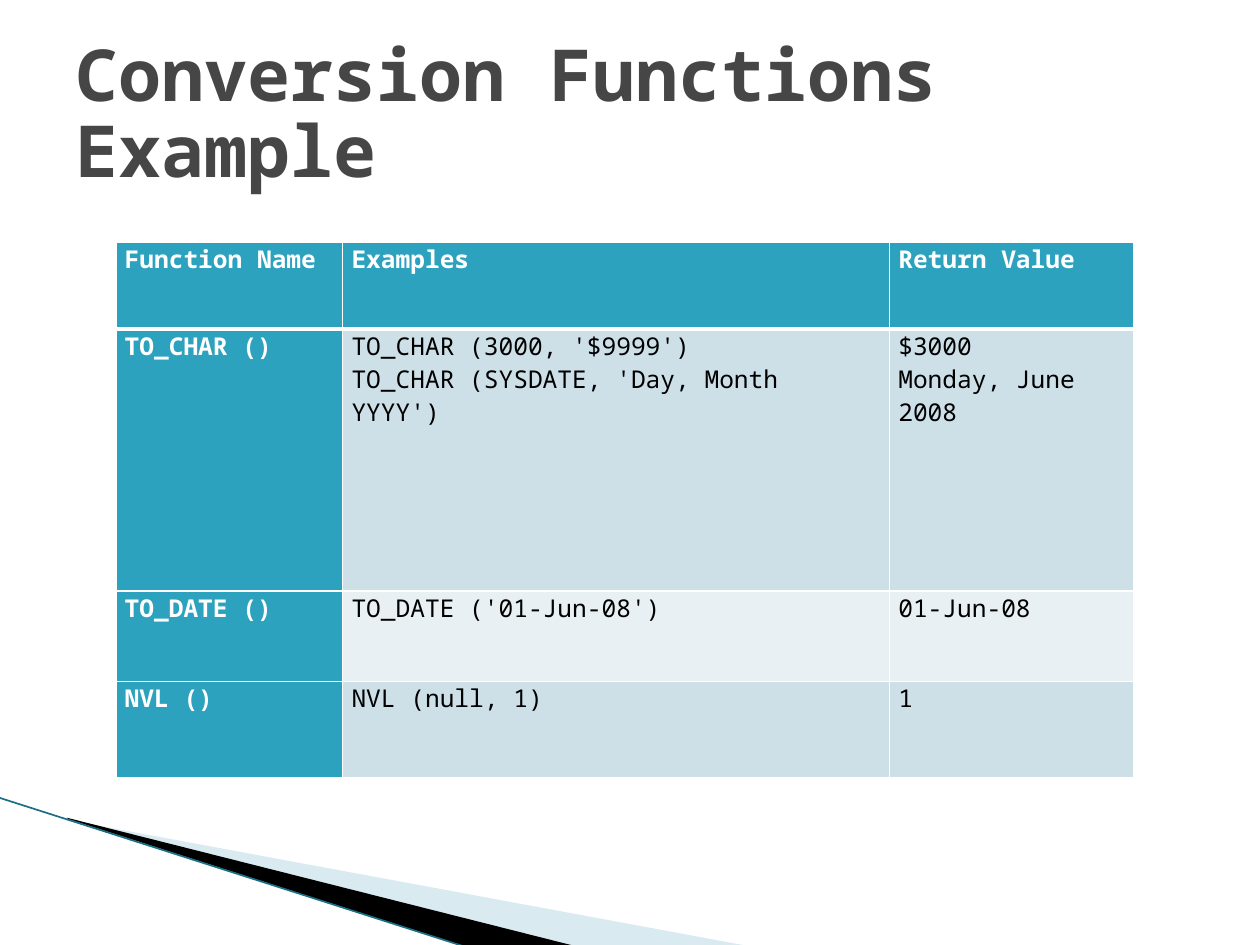
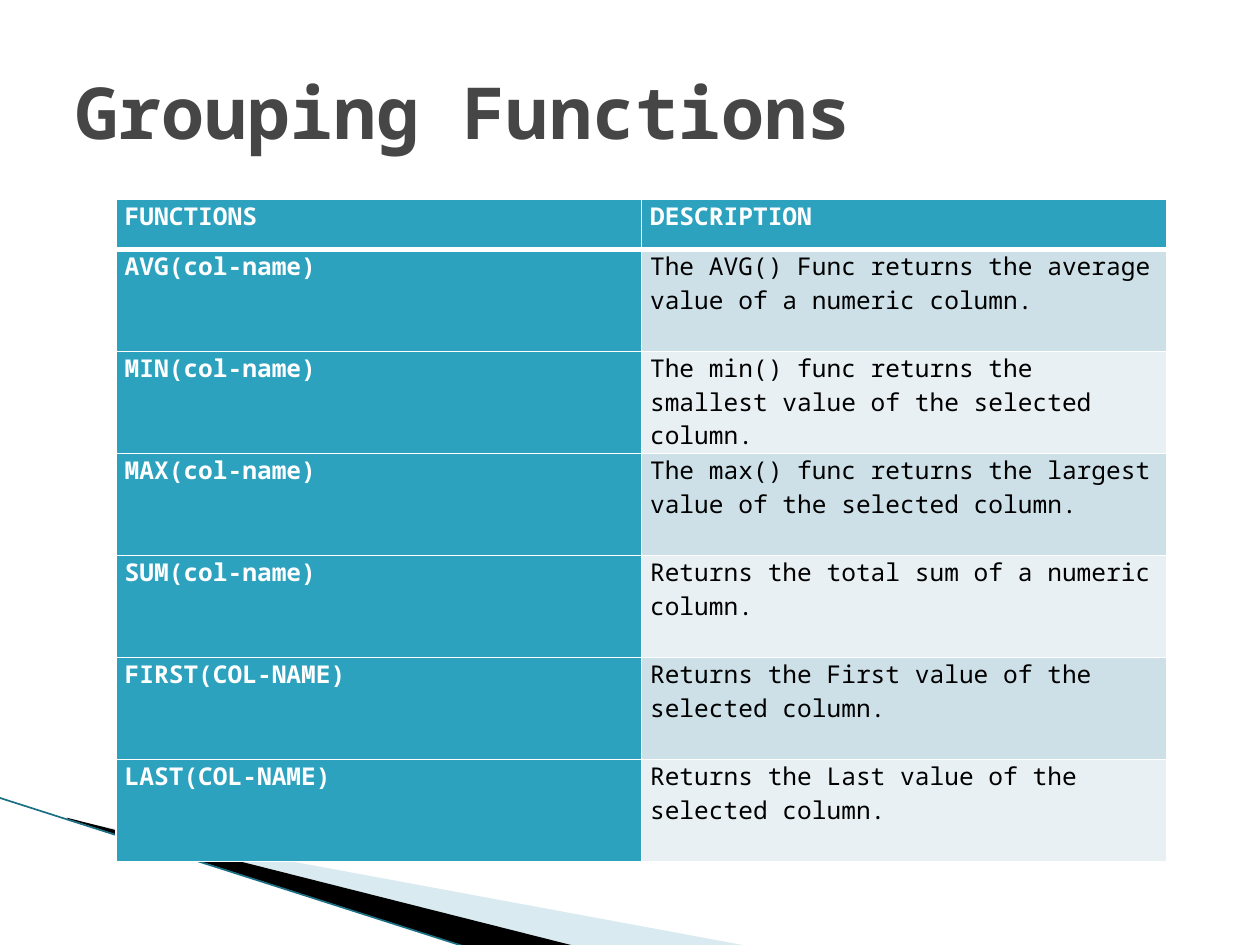
from dataclasses import dataclass

from lxml.etree import SubElement
from pptx import Presentation
from pptx.dml.color import RGBColor
from pptx.enum.shapes import MSO_CONNECTOR
from pptx.enum.text import MSO_ANCHOR, MSO_AUTO_SIZE, PP_ALIGN
from pptx.oxml.ns import qn
from pptx.slide import Slide
from pptx.table import _Cell
from pptx.text.text import TextFrame
from pptx.util import Pt

PX = 9144  # EMU per px, 100 px to the inch
FONT = "Noto Sans Mono"
COLORS = {
    "title": "464646",
    "accent": "2DA2BF",
    "band_dark": "CDE0E8",
    "band_light": "E8F0F4",
    "white": "FFFFFF",
    "black": "000000",
    "swoosh": "A0CBDC",
    "edge": "1B6F84",
}


@dataclass(frozen=True)
class Swoosh:
    points: tuple[tuple[int, int], ...]
    color: str
    opacity: int  # percent


@dataclass(frozen=True)
class FunctionSlide:
    title: str
    table_top: int
    column_widths: tuple[int, ...]
    row_heights: tuple[int, ...]
    rows: tuple[tuple[str, ...], ...]


SWOOSHES = (
    Swoosh(((55, 651), (595, 751), (456, 751), (55, 650)), "swoosh", 40),
    Swoosh(((53, 649), (457, 751), (372, 752), (54, 650)), "black", 100),
)
EDGE = (-1, 633, 371, 752)
TABLE_LEFT = 92

SLIDES = (
    FunctionSlide(
        "Conversion Functions Example", 192, (180, 434, 194), (69, 208, 72, 76),
        (
            ("Function Name", "Examples", "Return Value"),
            ("TO_CHAR ()",
             "TO_CHAR (3000, '$9999')\nTO_CHAR (SYSDATE, 'Day, Month YYYY')",
             "$3000\nMonday, June 2008"),
            ("TO_DATE ()", "TO_DATE ('01-Jun-08')", "01-Jun-08"),
            ("NVL ()", "NVL (null, 1)", "1"),
        ),
    ),
    FunctionSlide(
        "Grouping Functions", 158, (417, 417), (40,) + (81,) * 6,
        (
            ("FUNCTIONS", "DESCRIPTION"),
            ("AVG(col-name)", "The AVG() Func returns the average value of a numeric column."),
            ("MIN(col-name)", "The min() func returns the smallest value of the selected column."),
            ("MAX(col-name)", "The max() func returns the largest value of the selected column."),
            ("SUM(col-name)", "Returns the total sum of a numeric column."),
            ("FIRST(COL-NAME)", "Returns the First value of the selected column."),
            ("LAST(COL-NAME)", "Returns the Last value of the selected column."),
        ),
    ),
)


def color(name: str) -> RGBColor:
    return RGBColor.from_string(COLORS[name])


def format_text(text_frame: TextFrame, size: int, color_name: str, bold: bool) -> None:
    for paragraph in text_frame.paragraphs:
        paragraph.alignment = PP_ALIGN.LEFT
        for run in paragraph.runs:
            run.font.name = FONT
            run.font.size = Pt(size)
            run.font.bold = bold
            run.font.color.rgb = color(color_name)


def draw_swoosh(slide: Slide, swoosh: Swoosh) -> None:
    start, *others = swoosh.points
    builder = slide.shapes.build_freeform(*start, scale=PX)
    builder.add_line_segments(others, close=True)
    shape = builder.convert_to_shape()
    shape.shadow.inherit = False
    shape.line.fill.background()
    shape.fill.solid()
    shape.fill.fore_color.rgb = color(swoosh.color)
    if swoosh.opacity < 100:
        fill_color = shape.element.spPr.find(".//" + qn("a:srgbClr"))
        SubElement(fill_color, qn("a:alpha"), val=str(swoosh.opacity * 1000))


def draw_decoration(slide: Slide) -> None:
    for swoosh in SWOOSHES:
        draw_swoosh(slide, swoosh)
    edge = slide.shapes.add_connector(MSO_CONNECTOR.STRAIGHT, *(value * PX for value in EDGE))
    edge.line.color.rgb = color("edge")
    edge.line.width = Pt(0.95)
    SubElement(edge.element.spPr, qn("a:effectLst"))


def draw_title(slide: Slide, text: str) -> None:
    title = slide.shapes.title
    title.left, title.top, title.width, title.height = (
        value * PX for value in (50, 30, 900, 125))
    text_frame = title.text_frame
    text_frame.text = text
    text_frame.word_wrap = True
    text_frame.auto_size = MSO_AUTO_SIZE.NONE
    text_frame.vertical_anchor = MSO_ANCHOR.MIDDLE
    text_frame.paragraphs[0].line_spacing = 0.88
    format_text(text_frame, 41, "title", True)


def set_borders(cell: _Cell, row_index: int) -> None:
    # The rule under the header row is thicker than the others
    widths = {"L": 1, "R": 1, "T": 3 if row_index == 1 else 1, "B": 3 if row_index == 0 else 1}
    properties = cell._tc.get_or_add_tcPr()
    for side, width in widths.items():
        line = SubElement(properties, qn(f"a:ln{side}"), w=str(Pt(width)))
        fill = SubElement(line, qn("a:solidFill"))
        SubElement(fill, qn("a:srgbClr"), val=COLORS["white"])


def draw_cell(cell: _Cell, text: str, row_index: int, column_index: int) -> None:
    is_heading = row_index == 0 or column_index == 0
    band = "band_dark" if row_index % 2 else "band_light"
    set_borders(cell, row_index)
    cell.fill.solid()
    cell.fill.fore_color.rgb = color("accent" if is_heading else band)
    cell.margin_left = cell.margin_right = 7 * PX
    cell.margin_top = cell.margin_bottom = 0
    cell.vertical_anchor = MSO_ANCHOR.TOP
    cell.text_frame.text = text
    format_text(cell.text_frame, 14, "white" if is_heading else "black", is_heading)


def draw_table(slide: Slide, content: FunctionSlide) -> None:
    table = slide.shapes.add_table(
        len(content.row_heights), len(content.column_widths),
        TABLE_LEFT * PX, content.table_top * PX,
        sum(content.column_widths) * PX, sum(content.row_heights) * PX).table
    for column, width in zip(table.columns, content.column_widths):
        column.width = width * PX
    for row, height in zip(table.rows, content.row_heights):
        row.height = height * PX
    for row_index, texts in enumerate(content.rows):
        for column_index, text in enumerate(texts):
            draw_cell(table.cell(row_index, column_index), text, row_index, column_index)


def main() -> None:
    presentation = Presentation()
    presentation.slide_width = 1000 * PX
    presentation.slide_height = 750 * PX
    title_only = presentation.slide_layouts.get_by_name("Title Only")
    for content in SLIDES:
        slide = presentation.slides.add_slide(title_only)
        draw_decoration(slide)
        draw_table(slide, content)
        draw_title(slide, content.title)
    presentation.save("out.pptx")


if __name__ == "__main__":
    main()
